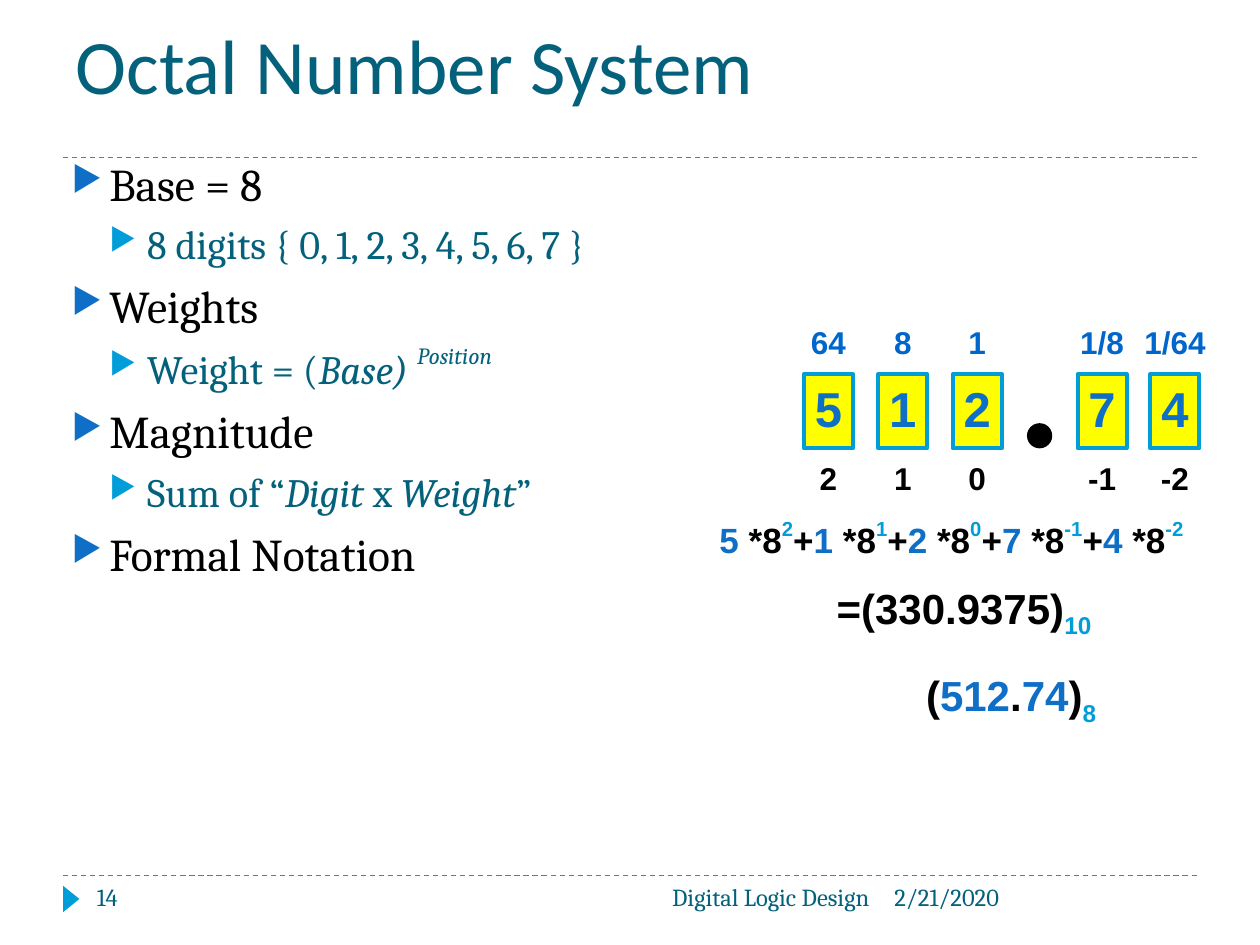
from dataclasses import dataclass

from lxml.etree import SubElement
from pptx import Presentation
from pptx.dml.color import RGBColor
from pptx.enum.dml import MSO_LINE
from pptx.enum.shapes import MSO_CONNECTOR, MSO_SHAPE
from pptx.enum.text import MSO_ANCHOR, MSO_AUTO_SIZE, PP_ALIGN
from pptx.oxml.ns import qn
from pptx.util import Inches, Pt


@dataclass(frozen=True)
class Theme:
    """Colours, fonts and type sizes of the deck."""
    ink: str = "000000"
    teal: str = "04617B"
    blue: str = "0F6FC6"
    sky: str = "009DD9"
    weight: str = "0066CC"
    yellow: str = "FFFF00"
    heading: str = "Calibri"
    body: str = "Cambria"
    figure: str = "Arial"
    title_size: int = 44
    level_sizes: tuple = (26, 23)
    digit_size: int = 28
    result_size: int = 24
    formula_size: int = 20
    label_size: int = 18
    footer_size: int = 14


THEME = Theme()


@dataclass(frozen=True)
class Box:
    """An area in inches, divided into columns and rows."""
    left: float
    top: float
    width: float
    height: float
    columns: float = 1
    rows: float = 1

    def area(self, column, row, wide, high, columns=1, rows=1):
        """Return the area that starts at a column and row of this one."""
        across, down = self.width / self.columns, self.height / self.rows
        return Box(self.left + column * across, self.top + row * down,
                   wide * across, high * down, columns, rows)

    def lengths(self):
        """Return left, top, width and height as slide lengths."""
        return [Inches(n) for n in (self.left, self.top, self.width, self.height)]


def assign(target, values):
    """Set each attribute named in a dict of format values."""
    for name, value in values.items():
        setattr(target, name, value)


def add_span(para, text, color, size, font, baseline=0, **style):
    """Add one formatted run, raised or lowered by a baseline percentage."""
    span = para.add_run()
    span.text = text
    assign(span.font, {"size": Pt(size), "name": font, **style})
    span.font.color.rgb = RGBColor.from_string(color)
    if baseline:
        span.font._element.set("baseline", str(baseline * 1000))


def indent(para, left, first=0):
    """Set the left margin and first-line indent in inches."""
    properties = para._p.get_or_add_pPr()
    properties.set("marL", str(Inches(left)))
    properties.set("indent", str(Inches(first)))


def add_bullet(para, color):
    """Give a paragraph a coloured triangular bullet."""
    properties = para._p.get_or_add_pPr()
    tint = SubElement(properties, qn("a:buClr"))
    SubElement(tint, qn("a:srgbClr"), val=color)
    SubElement(properties, qn("a:buSzPct"), val="76000")
    SubElement(properties, qn("a:buChar"), char="▶")


def set_frame(frame, inset=0, **values):
    """Wrap a text frame and set its insets and other format values."""
    sides = ("left", "top", "right", "bottom")
    margins = {f"margin_{side}": Inches(inset) for side in sides} if inset is not None else {}
    assign(frame, {"word_wrap": True, "auto_size": MSO_AUTO_SIZE.NONE, **margins, **values})
    return frame


def add_text(page, box, inset=0):
    """Add an empty text box and return its frame."""
    return set_frame(page.shapes.add_textbox(*box.lengths()).text_frame, inset)


def add_shape(page, kind, box, fill, line=None):
    """Add a flat preset shape."""
    shape = page.shapes.add_shape(kind, *box.lengths())
    shape.shadow.inherit = False
    shape.fill.solid()
    shape.fill.fore_color.rgb = RGBColor.from_string(fill)
    if line:
        shape.line.color.rgb = RGBColor.from_string(line)
        shape.line.width = Pt(2.25)
    else:
        shape.line.fill.background()
    return shape


def add_rule(page, box):
    """Draw a dashed rule along the top of a box."""
    left, top, width, _ = box.lengths()
    rule = page.shapes.add_connector(MSO_CONNECTOR.STRAIGHT, left, top, left + width, top)
    assign(rule.line, {"width": Pt(0.75), "dash_style": MSO_LINE.DASH})
    rule.line.color.rgb = RGBColor.from_string(THEME.sky)
    SubElement(rule._element.spPr, qn("a:effectLst"))


def place_title(page, box):
    """Place and format the slide title."""
    title = page.shapes.title
    assign(title, dict(zip(("left", "top", "width", "height"), box.lengths())))
    set_frame(title.text_frame, None, vertical_anchor=MSO_ANCHOR.BOTTOM)
    para = title.text_frame.paragraphs[0]
    para.alignment = PP_ALIGN.LEFT
    add_span(para, "Octal Number System", THEME.teal, THEME.title_size, THEME.heading)


def place_outline(page, box):
    """Place the two-level outline; pieces are text, italic and baseline."""
    outline = [
        (0, [("Base = 8", False, 0)]),
        (1, [("8 digits { 0, 1, 2, 3, 4, 5, 6, 7 }", False, 0)]),
        (0, [("Weights", False, 0)]),
        (1, [("Weight = (", False, 0), ("Base) ", True, 0), ("Position", True, 50)]),
        (0, [("Magnitude", False, 0)]),
        (1, [("Sum of “", False, 0), ("Digit", True, 0), (" x ", False, 0),
             ("Weight", True, 0), ("”", False, 0)]),
        (0, [("Formal Notation", False, 0)]),
    ]
    frame = add_text(page, box, None)
    for index, (level, pieces) in enumerate(outline):
        para = frame.add_paragraph() if index else frame.paragraphs[0]
        assign(para, {"level": level, "space_before": Pt(6 - level)})
        indent(para, 0.3 * (level + 1), -0.3)
        add_bullet(para, (THEME.blue, THEME.sky)[level])
        for text, italic, baseline in pieces:
            add_span(para, text, (THEME.ink, THEME.teal)[level],
                     THEME.level_sizes[level], THEME.body, baseline, italic=italic)


def figure_para(para, spans, size, align=PP_ALIGN.LEFT):
    """Fill a paragraph with bold spans of text, colour and baseline."""
    assign(para, {"alignment": align, "line_spacing": 0.9})
    for text, color, baseline in spans:
        add_span(para, text, color, size, THEME.figure, baseline, bold=True)


def place_digits(page, grid):
    """Place each digit tile under its weight and above its position."""
    tiles = [(0, "64", "5", "2"), (1, "8", "1", "1"), (2, "1", "2", "0"),
             (3.68, "1/8", "7", "-1"), (4.66, "1/64", "4", "-2")]
    wide = 0.66
    for column, weight, digit, position in tiles:
        tile = add_shape(page, MSO_SHAPE.RECTANGLE, grid.area(column, 1.37, wide, 2.18),
                         THEME.yellow, THEME.sky)
        frame = set_frame(tile.text_frame, vertical_anchor=MSO_ANCHOR.MIDDLE)
        figure_para(frame.paragraphs[0], [(digit, THEME.blue, 0)],
                    THEME.digit_size, PP_ALIGN.CENTER)
        spread = 0.17 if "64" in weight else 0
        labels = [(weight, 0, THEME.weight, spread), (position, 4, THEME.ink, 0)]
        for text, row, color, extra in labels:
            label = add_text(page, grid.area(column - extra, row, wide + 2 * extra, 1))
            figure_para(label.paragraphs[0], [(text, color, 0)],
                        THEME.label_size, PP_ALIGN.CENTER)
    add_shape(page, MSO_SHAPE.OVAL, grid.area(3, 2.81, 0.34, 0.74), THEME.ink)


def place_expansion(page, box):
    """Place the weighted sum with its decimal result below."""
    terms = [("5", "2"), ("1", "1"), ("2", "0"), ("7", "-1"), ("4", "-2")]
    spans = []
    for digit, power in terms:
        spans += [("+", THEME.ink, 0)] if spans else []
        spans += [(digit + " ", THEME.blue, 0), ("*8", THEME.ink, 0), (power, THEME.sky, 50)]
    frame = add_text(page, box)
    figure_para(frame.paragraphs[0], spans, THEME.formula_size)
    result = frame.add_paragraph()
    figure_para(result, [("=(330.9375)", THEME.ink, 0), ("10", THEME.sky, -25)],
                THEME.result_size)
    result.space_before = Pt(THEME.result_size / 2)
    indent(result, 0.93)


def place_notation(page, box):
    """Place the number in formal notation."""
    para = add_text(page, box).paragraphs[0]
    figure_para(para, [("(", THEME.ink, 0), ("512", THEME.blue, 0), (".", THEME.ink, 0),
                       ("74", THEME.blue, 0), (")", THEME.ink, 0), ("8", THEME.sky, -25)],
                THEME.result_size)
    indent(para, 0.19)


def place_footer(page, box):
    """Place the footer rule, marker, page number, course and date."""
    add_rule(page, box)
    marker = add_shape(page, MSO_SHAPE.ISOSCELES_TRIANGLE,
                       box.area(-0.04, 0.12, 0.21, 0.13), THEME.sky)
    marker.rotation = 90
    entries = [(0.17, 2.17, "14", PP_ALIGN.LEFT),
               (2.67, 3.83, "Digital Logic Design", PP_ALIGN.RIGHT),
               (6.5, 2.5, "2/21/2020", PP_ALIGN.LEFT)]
    for column, wide, text, align in entries:
        para = add_text(page, box.area(column, 0, wide, 0.4), None).paragraphs[0]
        para.alignment = align
        add_span(para, text, THEME.teal, THEME.footer_size, THEME.body)


def main():
    """Build the slide and save the deck."""
    deck = Presentation()
    assign(deck, {"slide_width": Inches(10), "slide_height": Inches(7.5)})
    page = deck.slides.add_slide(deck.slide_layouts[5])
    sheet = Box(0, 0, 10, 7.5, 10, 7.5)
    place_footer(page, sheet.area(0.5, 6.95, 9, 0.4, 9, 0.4))
    add_rule(page, sheet.area(0.5, 1.25, 9, 0))
    place_title(page, sheet.area(0.5, 0.17, 9, 0.75))
    place_outline(page, sheet.area(0.47, 1.19, 9.06, 4.42))
    place_digits(page, sheet.area(6.38, 2.6, 3.14, 1.35, 5.32, 5))
    place_expansion(page, sheet.area(5.71, 4.14, 4.02, 0.87))
    place_notation(page, sheet.area(7.16, 5.32, 2.16, 0.36))
    deck.save("out.pptx")


if __name__ == "__main__":
    main()
